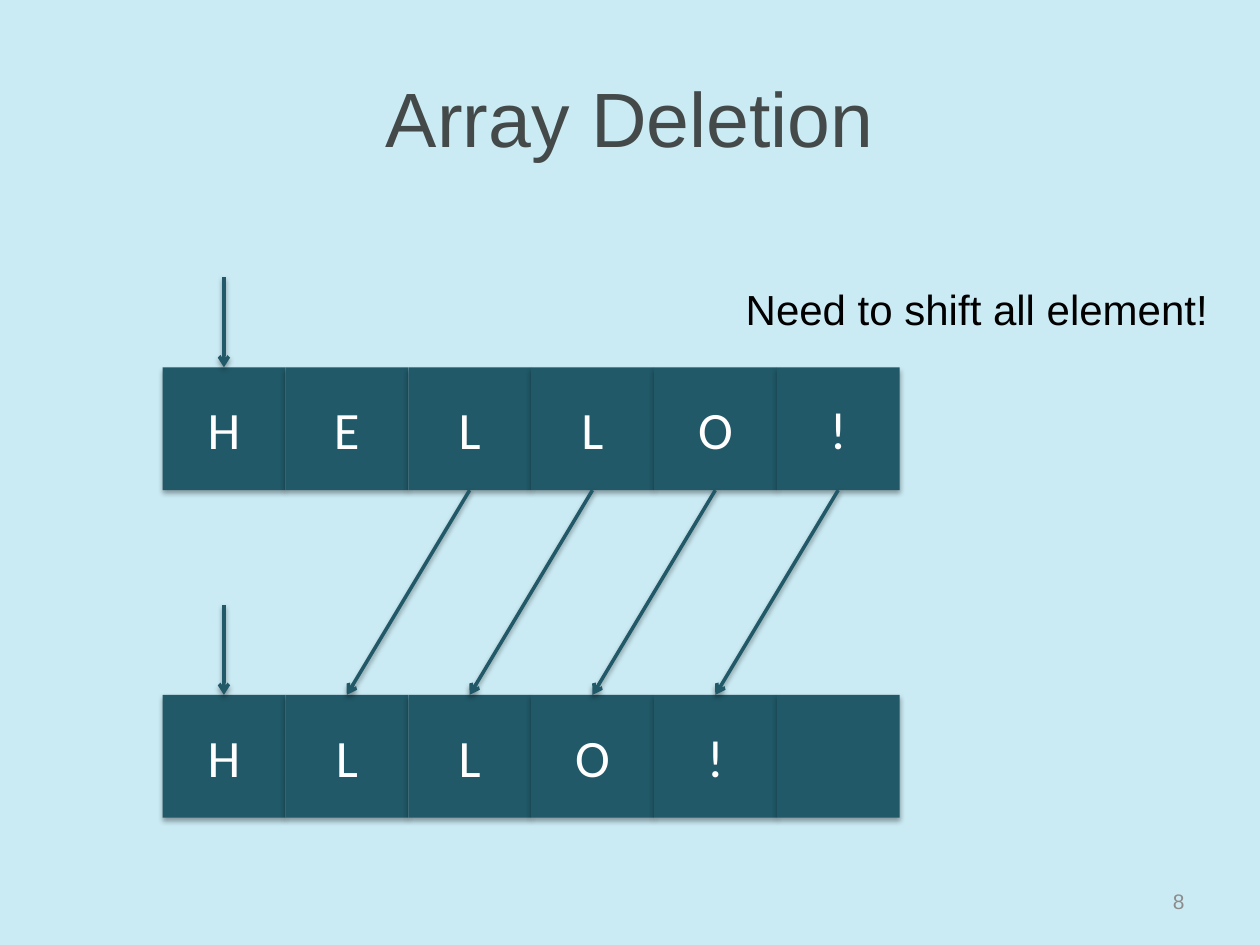
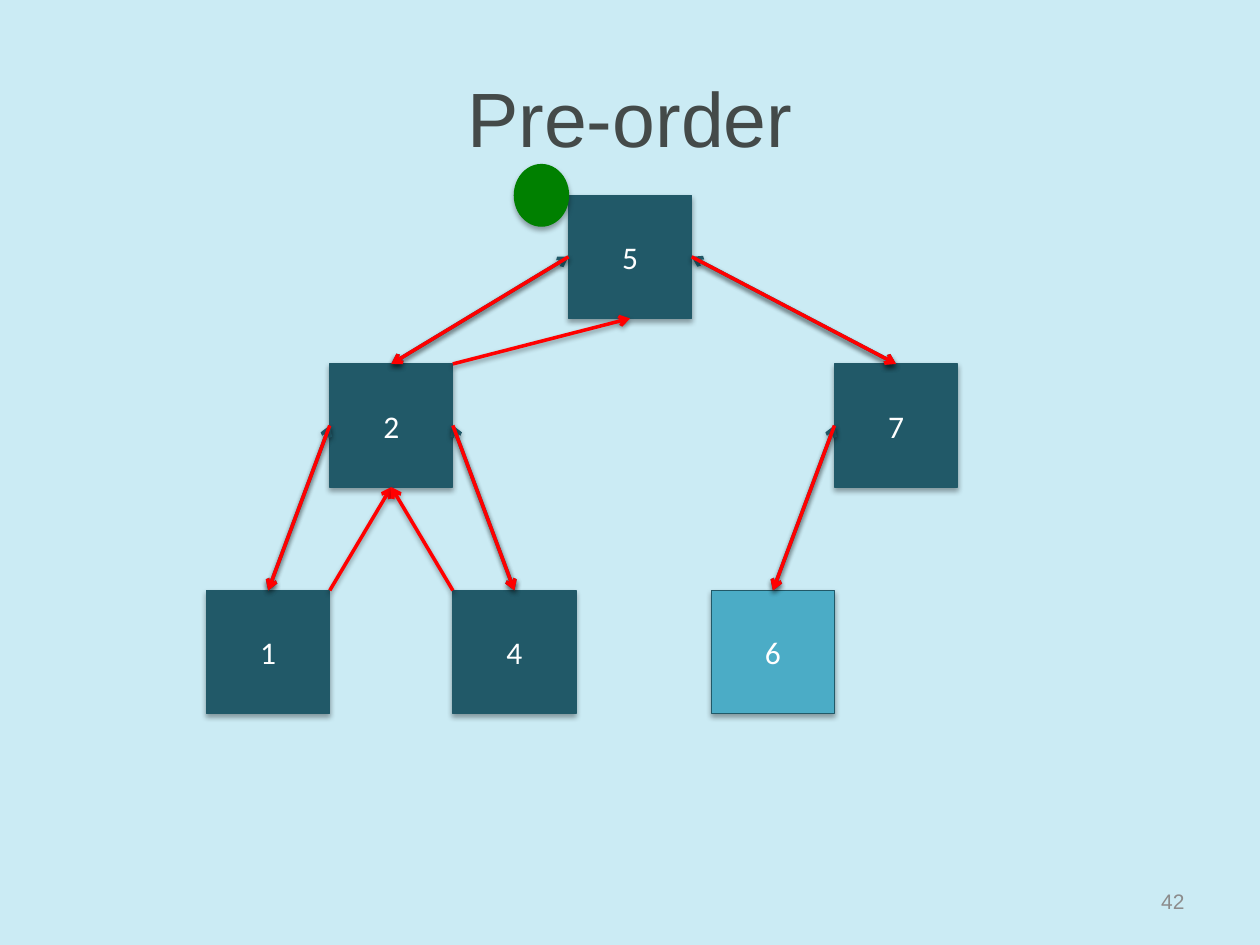
from collections import namedtuple

from lxml.etree import SubElement
from pptx import Presentation
from pptx.dml.color import RGBColor
from pptx.enum.shapes import MSO_CONNECTOR as Connector, MSO_SHAPE as Shape
from pptx.enum.text import MSO_ANCHOR as Anchor, PP_ALIGN as Align
from pptx.oxml.ns import qn
from pptx.util import Inches, Pt

Box = namedtuple("Box", "left top width height")
TOP, LEFT, BOTTOM, RIGHT = range(4)
PALE, TEAL, AQUA, RED, GREEN = "CBEBF4", "215968", "4BACC6", "FF0000", "008000"
INK, GREY, BLACK, WHITE = "444A49", "8C8C8C", "000000", "FFFFFF"
TITLE_BOX = Box(0.5, 0.3, 9, 1.25)
NUMBER_BOX = Box(7.17, 6.95, 2.33, 0.4)


def paint(color_format, color):
    """Give a fill, line or font colour its hex value."""
    color_format.rgb = RGBColor.from_string(color)


def emu(box):
    """Turn a box in inches into slide lengths."""
    return [Inches(length) for length in box]


def write(frame, text, size, color, font="Arial", align=Align.CENTER, anchor=Anchor.MIDDLE):
    """Set one formatted line of text in a frame."""
    frame.text = text
    frame.vertical_anchor = anchor
    line = frame.paragraphs[0]
    line.alignment = align
    line.font.size, line.font.name = Pt(size), font
    paint(line.font.color, color)


def cast_shadow(effects, opacity, distance):
    """Add a soft black shadow that falls straight down."""
    shadow = SubElement(effects, qn("a:outerShdw"), blurRad=str(Pt(3.1)), dist=str(Pt(distance)),
                        dir="5400000", rotWithShape="0")
    black = SubElement(shadow, qn("a:srgbClr"), val=BLACK)
    SubElement(black, qn("a:alpha"), val=str(opacity * 1000))


def block(slide, box, fill, text="", size=18, outline=None, form=Shape.RECTANGLE):
    """Draw a filled, shadowed shape with an optional label."""
    piece = slide.shapes.add_shape(form, *emu(box))
    piece.fill.solid()
    paint(piece.fill.fore_color, fill)
    if outline:
        paint(piece.line.color, outline)
        piece.line.width = Pt(0.75)
    else:
        piece.line.fill.background()
    piece.shadow.inherit = False
    cast_shadow(piece._element.spPr.find(qn("a:effectLst")), 35, 1.8)
    if text:
        write(piece.text_frame, text, size, WHITE, "Calibri")
    return piece


def arrow(slide, x, y, target, side, color, double=False):
    """Draw an arrow from a point to the middle of a shape's side."""
    line = slide.shapes.add_connector(Connector.STRAIGHT, x, y, x, y)
    line.end_connect(target, side)
    paint(line.line.color, color)
    line.line.width = Pt(2)
    properties = line._element.spPr
    for tip in ("a:headEnd", "a:tailEnd") if double else ("a:tailEnd",):
        SubElement(properties.find(qn("a:ln")), qn(tip), type="arrow")
    cast_shadow(SubElement(properties, qn("a:effectLst")), 38, 1.6)
    return line


def link(slide, source, source_side, target, target_side, color, double=False):
    """Join the sides of two shapes with an arrow."""
    line = arrow(slide, source.left, source.top, target, target_side, color, double)
    line.begin_connect(source, source_side)


def titled_slide(deck, title, number):
    """Add a slide with its title and page number."""
    slide = deck.slides.add_slide(deck.slide_layouts.get_by_name("Title Only"))
    heading = slide.shapes.title
    heading.left, heading.top, heading.width, heading.height = emu(TITLE_BOX)
    write(heading.text_frame, title, 44, INK)
    page = slide.shapes.add_textbox(*emu(NUMBER_BOX)).text_frame
    page.word_wrap = True
    write(page, number, 12, GREY, align=Align.RIGHT)
    return slide


def array_row(slide, box, letters):
    """Draw an array of square cells below an arrow to its first cell."""
    cell = box.width / len(letters)
    top = box.top + box.height - cell
    cells = [block(slide, Box(box.left + column * cell, top, cell, cell), TEAL, letter.strip(), 30)
             for column, letter in enumerate(letters)]
    arrow(slide, Inches(box.left + cell / 2), Inches(box.top), cells[0], TOP, TEAL)
    return cells


def deletion_diagram(slide, box, before, after):
    """Show the array before and after deletion and the cells that shift."""
    row_height = box.height * 0.394
    old = array_row(slide, Box(box.left, box.top, box.width, row_height), before)
    new = array_row(slide, Box(box.left, box.top + box.height - row_height, box.width, row_height), after)
    for source, target in zip(old[2:], new[1:]):
        link(slide, source, BOTTOM, target, TOP, TEAL)


def remark(slide, box, text):
    """Place a one-line remark."""
    frame = slide.shapes.add_textbox(*emu(box)).text_frame
    frame.word_wrap = False
    write(frame, text, 24, BLACK, align=Align.LEFT, anchor=Anchor.TOP)


def traversal_tree(slide, box):
    """Draw the tree, the walk through it and the marker at the root."""
    cell = box.width / 6.1
    places = {"5": (2.94, 0), "2": (1, 1.37), "7": (5.1, 1.37),
              "1": (0, 3.21), "4": (2, 3.21), "6": (4.1, 3.21)}
    nodes = {key: block(slide, Box(box.left + column * cell, box.top + row * cell, cell, cell),
                        AQUA if key == "6" else TEAL, key, outline=TEAL)
             for key, (column, row) in places.items()}
    branches = (("5", LEFT, "2"), ("5", RIGHT, "7"), ("2", LEFT, "1"), ("2", RIGHT, "4"), ("7", LEFT, "6"))
    for color, double in ((TEAL, True), (RED, False)):
        for parent, side, child in branches:
            link(slide, nodes[parent], side, nodes[child], TOP, color, double)
    for child, corner, parent in (("1", 1, "2"), ("4", 0, "2"), ("2", 1, "5")):
        start = nodes[child]
        arrow(slide, start.left + corner * start.width, start.top, nodes[parent], BOTTOM, RED)
    marker_width, marker_height = cell * 0.44, cell * 0.5
    root_left = box.left + places["5"][0] * cell
    block(slide, Box(root_left - marker_width, box.top - marker_height / 2, marker_width, marker_height),
          GREEN, outline=GREEN, form=Shape.OVAL)


def main():
    """Build and save the two slides."""
    deck = Presentation()
    deck.slide_width, deck.slide_height = Inches(10), Inches(7.5)
    backdrop = deck.slide_master.background.fill
    backdrop.solid()
    paint(backdrop.fore_color, PALE)

    deletion = titled_slide(deck, "Array Deletion", "8")
    deletion_diagram(deletion, Box(1.29, 2.2, 5.85, 4.29), "HELLO!", "HLLO! ")
    remark(deletion, Box(5.82, 2.2, 3.94, 0.5), "Need to shift all element!")

    preorder = titled_slide(deck, "Pre-order", "42")
    traversal_tree(preorder, Box(1.64, 1.55, 5.96, 4.12))
    deck.save("out.pptx")


if __name__ == "__main__":
    main()
